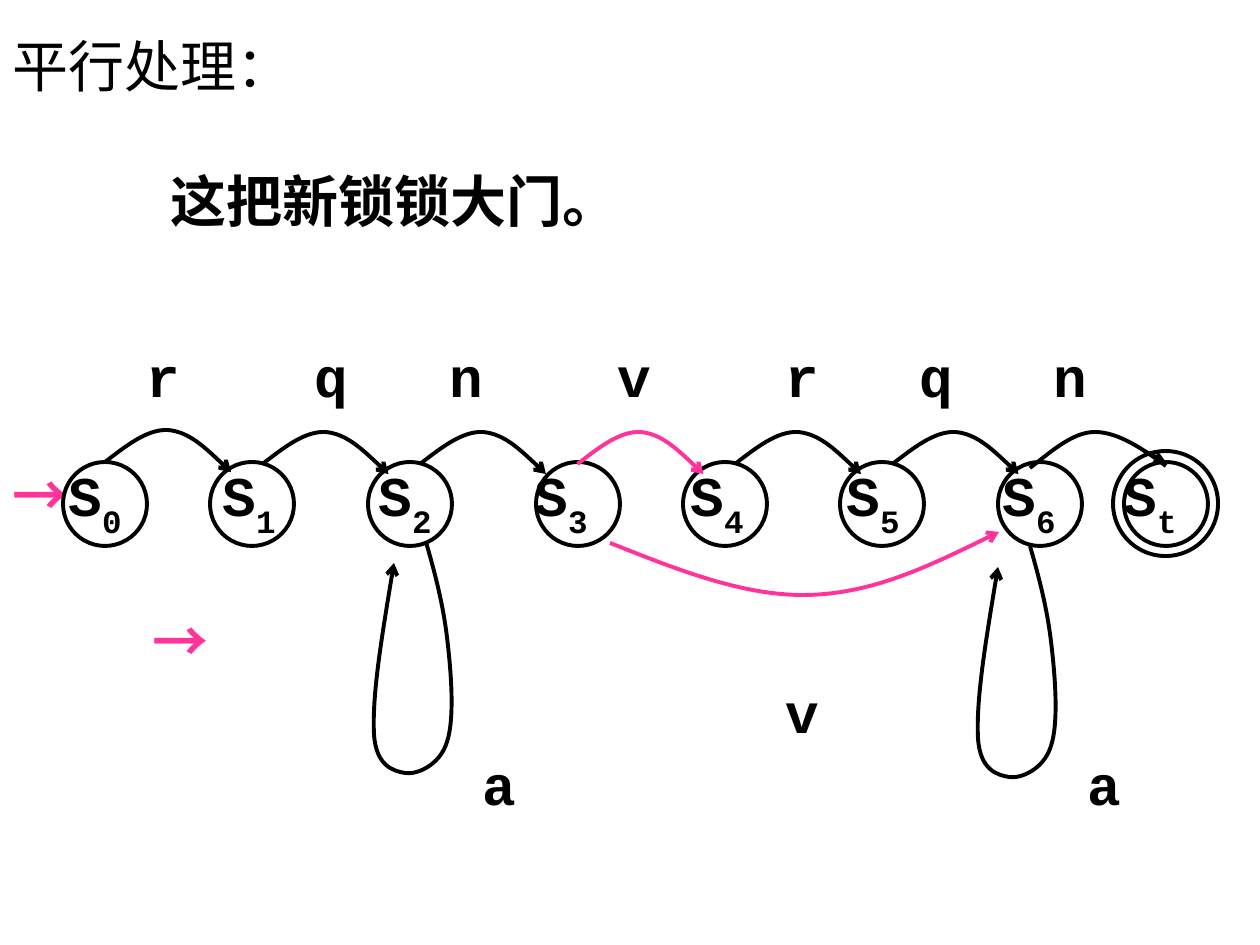
from lxml import etree
from pptx import Presentation
from pptx.dml.color import RGBColor
from pptx.enum.shapes import MSO_CONNECTOR, MSO_SHAPE
from pptx.enum.text import MSO_ANCHOR, MSO_AUTO_SIZE, PP_ALIGN
from pptx.oxml.ns import qn
from pptx.util import Pt

OVAL = MSO_SHAPE.OVAL
STRAIGHT = MSO_CONNECTOR.STRAIGHT
LEFT = PP_ALIGN.LEFT
MIDDLE = MSO_ANCHOR.MIDDLE
GROW = MSO_AUTO_SIZE.SHAPE_TO_FIT_TEXT

BLACK = RGBColor(0x00, 0x00, 0x00)
PINK = RGBColor(0xFF, 0x33, 0x99)
MONO = "Courier New"
CJK = "Noto Sans CJK SC"

EMU_PER_PX = 914400 / 126
CHAR = 33.6  # advance of one 32 pt monospaced character, in px

STATE_Y, STATE_SIZE = 462, 84
STATE_X = [63, 210, 368, 536, 683, 840, 998, 1124]
STATE_TABS = [54 + 156 * k for k in range(1, 7)] + [1111]

# Curves are offsets from their start, three points to each Bezier segment.
HOP = [(21, -16), (42, -33), (63, -32), (84, -30), (105, -10), (126, 10)]
LAST_HOP = [(22, -17), (43, -36), (65, -36), (88, -36), (113, -19), (136, -2)]
SKIP = [(68, 27), (135, 54), (200, 52), (264, 50), (326, 20), (389, -11)]
LOOP = [(9, 31), (17, 62), (21, 95), (25, 128), (29, 176), (21, 200),
        (14, 223), (-9, 233), (-21, 231), (-33, 229), (-50, 224), (-52, 192),
        (-54, 153), (-43, 88), (-32, 21)]


def px(n):
    return round(n * EMU_PER_PX)


def add_run(p, text, font=MONO, color=BLACK, bold=True, subscript=False):
    r = p.add_run()
    r.text = text
    r.font.size = Pt(32)
    r.font.bold = bold
    r.font.name = font
    r.font.color.rgb = color
    rPr = r._r.get_or_add_rPr()
    etree.SubElement(rPr, qn("a:ea"), typeface=CJK)
    if subscript:
        rPr.set("baseline", "-30000")


def add_text_box(slide, x, y, w, h):
    tf = slide.shapes.add_textbox(px(x), px(y), px(w), px(h)).text_frame
    tf.word_wrap = True
    tf.auto_size = GROW
    return tf


def set_tabs(p, stops):
    tabs = etree.SubElement(p._p.get_or_add_pPr(), qn("a:tabLst"))
    for stop in stops:
        etree.SubElement(tabs, qn("a:tab"), pos=str(px(stop)), algn="l")


def style_line(sp, color=BLACK, head=None):
    sp.line.color.rgb = color
    sp.line.width = Pt(2.25)
    if head:
        ln = sp._element.spPr.find(qn("a:ln"))
        etree.SubElement(ln, qn("a:tailEnd"), type=head)


def add_circle(slide, x, y, size):
    sp = slide.shapes.add_shape(OVAL, px(x), px(y), px(size), px(size))
    sp.shadow.inherit = False
    sp.fill.background()
    style_line(sp)


def add_curve(slide, x, y, offsets, color=BLACK, head="arrow"):
    """Draw an open outline whose points are joined as cubic Beziers."""
    builder = slide.shapes.build_freeform(px(x), px(y))
    builder.add_line_segments([(px(x + dx), px(y + dy)) for dx, dy in offsets],
                              close=False)
    sp = builder.convert_to_shape()
    outline = next(sp._element.iter(qn("a:path")))
    segments = outline.findall(qn("a:lnTo"))
    for i in range(0, len(segments), 3):
        bezier = etree.SubElement(outline, qn("a:cubicBezTo"))
        for segment in segments[i:i + 3]:
            bezier.append(segment[0])
            outline.remove(segment)
    sp.shadow.inherit = False
    sp.fill.background()
    style_line(sp, color, head)


def add_arrow(slide, x1, y1, x2, y2):
    cn = slide.shapes.add_connector(STRAIGHT, px(x1), px(y1), px(x2), px(y2))
    style_line(cn, head="triangle")
    etree.SubElement(cn._element.spPr, qn("a:effectLst"))


def add_title(slide, text):
    sp = slide.shapes.title
    sp.left, sp.top, sp.width, sp.height = px(0), px(-10), px(1071), px(158)
    tf = sp.text_frame
    tf.vertical_anchor = MIDDLE
    p = tf.paragraphs[0]
    p.alignment = LEFT
    p.line_spacing = 0.9
    add_run(p, text, CJK, bold=False)


def add_sentence(slide, text):
    p = add_text_box(slide, 158, 168, 557, 79).paragraphs[0]
    p.line_spacing = 0.9
    add_run(p, text)


def add_labels(slide):
    """Set all labels of the automaton in one box, placed by tab stops."""
    tf = add_text_box(slide, 0, 325, 1228, 420)
    tf.margin_top = px(16)

    def add_row(stops, space_before):
        p = tf.add_paragraph()
        p.space_before = Pt(space_before)
        set_tabs(p, stops)
        return p

    p = tf.paragraphs[0]
    set_tabs(p, [CHAR * n for n in (4, 9, 13, 18, 23, 27, 31)])
    for letter in "rqnvrqn":
        add_run(p, "\t" + letter)

    p = add_row(STATE_TABS, 30)
    add_run(p, "→", CJK, PINK)
    for i, index in enumerate("0123456t"):
        add_run(p, "\tS" if i else "S")
        add_run(p, index, subscript=True)

    add_run(add_row([140], 38), "\t→", CJK, PINK)
    add_run(add_row([CHAR * 23], 2), "\tv")
    add_run(add_row([CHAR * 14, CHAR * 32], 3), "\ta\ta")


def main():
    prs = Presentation()
    prs.slide_width, prs.slide_height = px(1260), px(945)
    slide = prs.slides.add_slide(prs.slide_layouts[5])

    add_title(slide, "平行处理：")
    add_sentence(slide, "这把新锁锁大门。")
    add_labels(slide)

    for x in STATE_X:
        add_circle(slide, x, STATE_Y, STATE_SIZE)
    add_circle(slide, 1113, 451, 105)

    for k in range(6):
        add_curve(slide, 105 + 157.5 * k, 464 if k else 462, HOP,
                  PINK if k == 3 else BLACK)
    add_curve(slide, 1030, 468, LAST_HOP, head=None)
    add_arrow(slide, 1144, 451, 1166, 462)
    add_curve(slide, 426, 542, LOOP)
    add_curve(slide, 1030, 546, LOOP)
    add_curve(slide, 610, 543, SKIP, PINK)

    prs.save("out.pptx")


if __name__ == "__main__":
    main()
